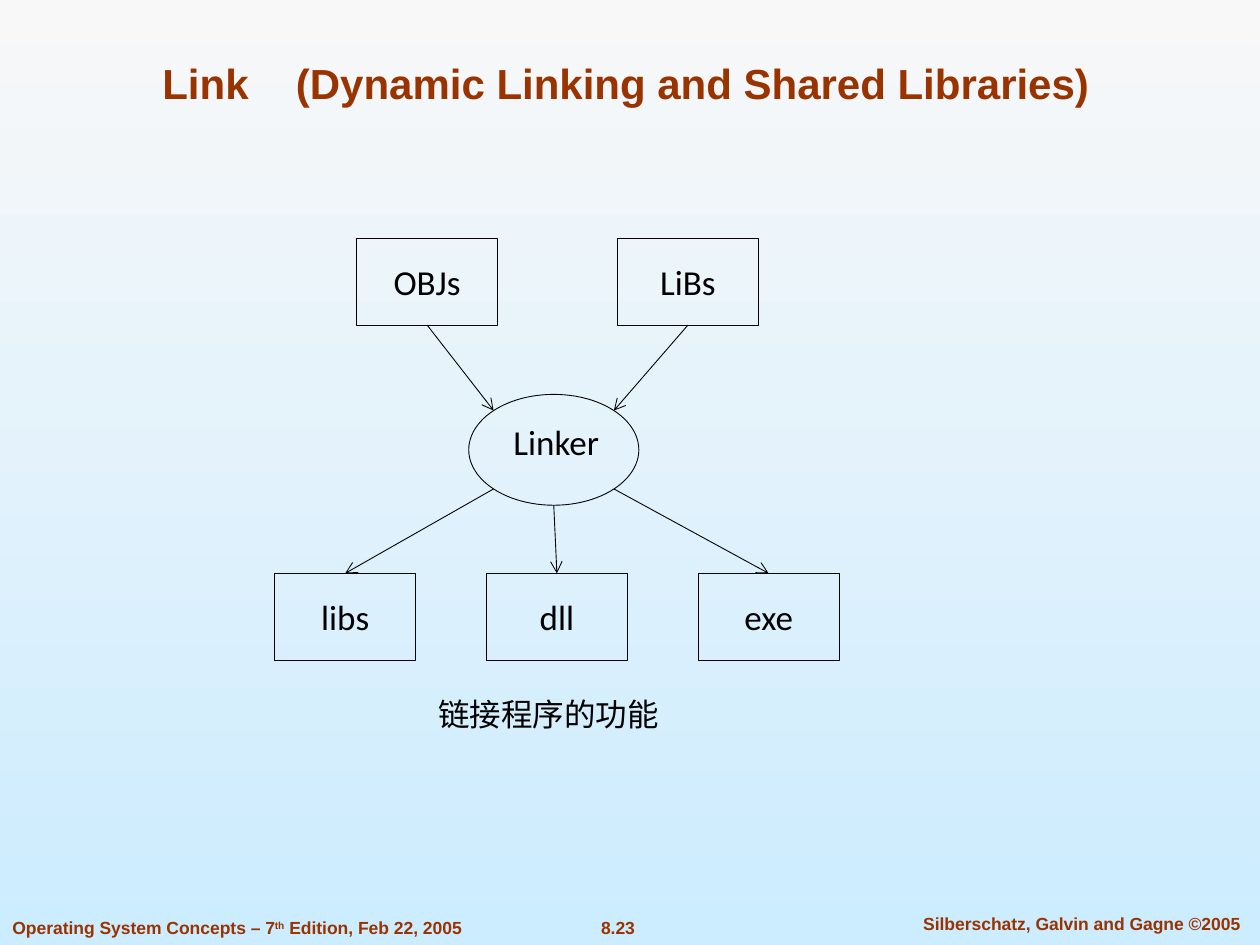
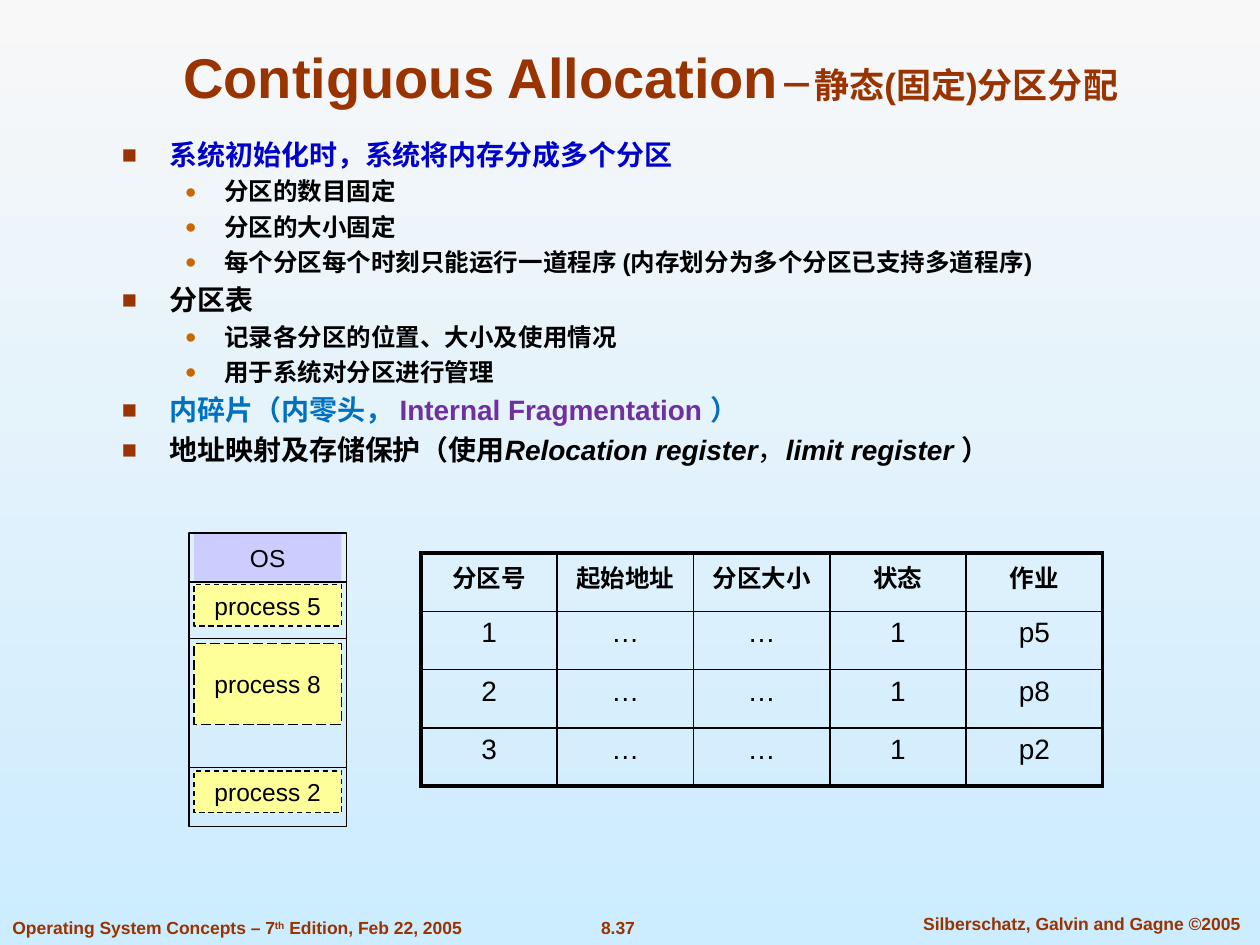
from dataclasses import dataclass
from math import sqrt

from lxml import etree
from pptx import Presentation, util as u
from pptx.dml.color import RGBColor
from pptx.enum import dml, shapes, text
from pptx.oxml import ns

COLORS = {
    "sky_top": "F8F8F8", "sky_bottom": "CCECFF", "rust": "993300",
    "orange": "CC6600", "black": "000000", "blue": "0000CC",
    "azure": "0070C0", "purple": "7030A0", "yellow": "FFFF99",
    "lavender": "CCCCFF",
}
LEFT, CENTER = text.PP_ALIGN.LEFT, text.PP_ALIGN.CENTER
TOP, MIDDLE, BOTTOM = (text.MSO_ANCHOR.TOP, text.MSO_ANCHOR.MIDDLE,
                       text.MSO_ANCHOR.BOTTOM)
RECTANGLE, OVAL = shapes.MSO_SHAPE.RECTANGLE, shapes.MSO_SHAPE.OVAL

# The slide is a grid of 100 columns by 100 rows
WIDTH, HEIGHT = u.Inches(10), u.Inches(7.5)
COLUMN, ROW = WIDTH / 100, HEIGHT / 100


@dataclass
class Box:
    left: float
    top: float
    width: float
    height: float

    def inner(self, left, top, width, height):
        return Box(self.left + left, self.top + top, width, height)

    def point(self, x, y):
        """Grid position at a share of the box's width and height."""
        return self.left + x * self.width, self.top + y * self.height

    def lengths(self):
        return (round(self.left * COLUMN), round(self.top * ROW),
                round(self.width * COLUMN), round(self.height * ROW))


def color(name):
    return RGBColor.from_string(COLORS[name])


def add_xml(parent, tag, **attributes):
    return etree.SubElement(parent, ns.qn(tag), attributes)


# ---- Shared parts ----
def add_run(paragraph, words, size, ink="black", font="Arial", bold=False,
            italic=False, raised=False):
    run = paragraph.add_run()
    run.text = words
    run.font.size, run.font.name = u.Pt(size), font
    run.font.bold, run.font.italic = bold, italic
    run.font.color.rgb = color(ink)
    if raised:
        run.font._element.set("baseline", "30000")


def prepare(frame, anchor, align, side_inset=0.1):
    frame.word_wrap = True
    frame.vertical_anchor = anchor
    frame.margin_left = frame.margin_right = u.Inches(side_inset)
    frame.margin_top = frame.margin_bottom = u.Inches(0.05)
    frame.paragraphs[0].alignment = align
    return frame.paragraphs[0]


def add_text(slide, box, anchor=TOP, align=LEFT, side_inset=0.1):
    shape = slide.shapes.add_textbox(*box.lengths())
    return prepare(shape.text_frame, anchor, align, side_inset)


def add_shape(slide, box, kind=RECTANGLE, fill=None, line=None, dash=None):
    shape = slide.shapes.add_shape(kind, *box.lengths())
    shape.shadow.inherit = False
    if fill:
        shape.fill.solid()
        shape.fill.fore_color.rgb = color(fill)
    else:
        shape.fill.background()
    if line:
        shape.line.color.rgb = color("black")
        shape.line.width = u.Pt(line)
        shape.line.dash_style = dash
    else:
        shape.line.fill.background()
    return shape


def add_line(slide, start, end, width, arrow=False):
    (x1, y1), (x2, y2) = start, end
    line = slide.shapes.add_connector(
        shapes.MSO_CONNECTOR.STRAIGHT, round(x1 * COLUMN), round(y1 * ROW),
        round(x2 * COLUMN), round(y2 * ROW))
    line.line.color.rgb = color("black")
    line.line.width = u.Pt(width)
    if arrow:
        add_xml(line.line._get_or_add_ln(), "a:tailEnd", type="arrow")
    add_xml(line._element.spPr, "a:effectLst")
    return line


def add_footer(slide, box, page):
    style = {"size": 10, "ink": "rust", "bold": True}
    book = add_text(slide, box.inner(0, 0.4, 42.1, 3.6))
    add_run(book, "Operating System Concepts – 7", **style)
    add_run(book, "th", raised=True, **style)
    add_run(book, " Edition, Feb 22, 2005", **style)
    number = add_text(slide, box.inner(46.4, 0.4, 5.3, 3.6), align=CENTER)
    add_run(number, page, **style)
    authors = add_text(slide, box.inner(71, 0, 29.7, 3.6), align=CENTER)
    add_run(authors, "Silberschatz, Galvin and Gagne ©2005", **style)


def add_slide(presentation, page):
    slide = presentation.slides.add_slide(presentation.slide_layouts[6])
    fill = slide.background.fill
    fill.gradient()
    fill.gradient_angle = 270
    for stop, name in zip(fill.gradient_stops, ("sky_top", "sky_bottom")):
        stop.color.rgb = color(name)
    add_footer(slide, Box(0, 96, 100, 4), page)
    return slide


# ---- Linking slide ----
def add_link_title(slide, box):
    paragraph = add_text(slide, box)
    tabs = add_xml(paragraph._p.get_or_add_pPr(), "a:tabLst")
    add_xml(tabs, "a:tab", pos=str(u.Inches(1.06)), algn="l")
    add_run(paragraph, "Link\t(Dynamic Linking and Shared Libraries)", 24,
            "rust", bold=True)


def add_linker_diagram(slide, box):
    def add_file(name, left, top):
        shape = add_shape(slide, box.inner(left, top, 11.2, 9.2), line=0.5)
        paragraph = prepare(shape.text_frame, MIDDLE, CENTER)
        add_run(paragraph, name, 20, font="Calibri")
        return shape

    inputs = [add_file("OBJs", 6.5, 0), add_file("LiBs", 27.2, 0)]
    outputs = [add_file(name, 16.8 * index, 35.47)
               for index, name in enumerate(("libs", "dll", "exe"))]

    # Linker and caption
    linker = box.inner(15.4, 16.53, 13.5, 11.73)
    add_shape(slide, linker, OVAL, line=0.5)
    labels = (("Linker", 20, box.inner(16.1, 16.93, 12.5, 9.2)),
              ("链接程序的功能", 18, box.inner(7.9, 45.73, 27.7, 9.2)))
    for words, size, place in labels:
        paragraph = add_text(slide, place, MIDDLE, CENTER, side_inset=0)
        add_run(paragraph, words, size, font="Calibri")

    # Arrows meet the oval on its diagonals and at its lowest point
    near = (1 - sqrt(0.5)) / 2
    far = 1 - near
    for shape, x in zip(inputs, (near, far)):
        end = linker.point(x, near)
        add_line(slide, end, end, 0.5, arrow=True).begin_connect(shape, 2)
    for shape, (x, y) in zip(outputs, ((near, far), (0.5, 1), (far, far))):
        start = linker.point(x, y)
        add_line(slide, start, start, 0.5, arrow=True).end_connect(shape, 0)


# ---- Allocation slide ----
def add_allocation_title(slide, box):
    paragraph = add_text(slide, box, BOTTOM, CENTER)
    add_run(paragraph, "Contiguous Allocation", 32, "rust", bold=True)
    add_run(paragraph, "－静态(固定)分区分配", 20, "rust", bold=True)


# Level: text size, left margin, hanging indent, bullet, its colour and size
LEVELS = [(16, 0.38, 0.38, "■", "rust", 90), (14, 0.81, 0.31, "●", "orange", 80)]
PARTITION_NOTES = [
    (0, [("系统初始化时，系统将内存分成多个分区", {"ink": "blue"})]),
    (1, [("分区的数目固定", {})]),
    (1, [("分区的大小固定", {})]),
    (1, [("每个分区每个时刻只能运行一道程序 (内存划分为多个分区已支持多道程序)", {})]),
    (0, [("分区表", {})]),
    (1, [("记录各分区的位置、大小及使用情况", {})]),
    (1, [("用于系统对分区进行管理", {})]),
    (0, [("内碎片（内零头， ", {"ink": "azure"}),
         ("Internal Fragmentation ", {"ink": "purple"}),
         ("）", {"ink": "azure"})]),
    (0, [("地址映射及存储保护（使用", {}),
         ("Relocation register", {"italic": True}),
         ("，", {"bold": False}),
         ("limit register ", {"italic": True}),
         ("）", {})]),
]


def add_notes_list(slide, box):
    frame = slide.shapes.add_textbox(*box.lengths()).text_frame
    first = prepare(frame, TOP, LEFT)
    for index, (level, runs) in enumerate(PARTITION_NOTES):
        size, margin, hanging, bullet, ink, percent = LEVELS[level]
        paragraph = frame.add_paragraph() if index else first
        paragraph.level = level
        paragraph.line_spacing = 0.9
        properties = paragraph._p.get_or_add_pPr()
        properties.set("marL", str(u.Inches(margin)))
        properties.set("indent", str(-u.Inches(hanging)))
        if index:
            before = add_xml(properties, "a:spcBef")
            add_xml(before, "a:spcPct", val="35000")
        bullet_color = add_xml(properties, "a:buClr")
        add_xml(bullet_color, "a:srgbClr", val=COLORS[ink])
        add_xml(properties, "a:buSzPct", val=str(percent * 1000))
        add_xml(properties, "a:buFont", typeface="Arial")
        add_xml(properties, "a:buChar", char=bullet)
        for words, style in runs:
            add_run(paragraph, words, size, **{"bold": True, **style})


def add_memory_map(slide, box):
    add_shape(slide, box, line=0.75)
    for row in (5.2, 11.2, 24.8):
        y = box.top + row
        add_line(slide, (box.left, y), (box.left + box.width, y), 0.75)
    dash, long_dash = dml.MSO_LINE.DASH, dml.MSO_LINE.LONG_DASH
    blocks = [("OS", 0.13, 4.93, "lavender", None, None),
              ("process 5", 5.47, 4.4, "yellow", 0.75, dash),
              ("process 8", 11.73, 8.53, "yellow", 0.75, long_dash),
              ("process 2", 25.2, 4.4, "yellow", 0.75, dash)]
    for name, top, height, fill, line, style in blocks:
        place = box.inner(0.4, top, box.width - 0.8, height)
        shape = add_shape(slide, place, fill=fill, line=line, dash=style)
        paragraph = prepare(shape.text_frame, MIDDLE, CENTER)
        add_run(paragraph, name, 14)


def set_borders(cell, **widths):
    properties = cell._tc.get_or_add_tcPr()
    for side in "LRTB":
        border = add_xml(properties, f"a:ln{side}", w=str(u.Pt(widths[side])))
        fill = add_xml(border, "a:solidFill")
        add_xml(fill, "a:srgbClr", val=COLORS["black"])


def add_partition_table(slide, box):
    rows = [("分区号", "起始地址", "分区大小", "状态", "作业")]
    rows += [(str(number), "…", "…", "1", job)
             for number, job in enumerate(("p5", "p8", "p2"), 1)]
    last_row, last_column = len(rows) - 1, len(rows[0]) - 1
    table = slide.shapes.add_table(len(rows), len(rows[0]), *box.lengths()).table
    table.first_row = table.horz_banding = False
    for r, row in enumerate(rows):
        for c, words in enumerate(row):
            cell = table.cell(r, c)
            set_borders(cell, L=1 if c else 2.25, T=1 if r else 2.25,
                        R=2.25 if c == last_column else 1,
                        B=2.25 if r == last_row else 1)
            cell.fill.background()
            paragraph = cell.text_frame.paragraphs[0]
            paragraph.alignment = CENTER
            add_run(paragraph, words, 16 if r else 14, bold=r == 0)


def main():
    presentation = Presentation()
    presentation.slide_width, presentation.slide_height = WIDTH, HEIGHT

    linking = add_slide(presentation, "8.23")
    add_link_title(linking, Box(11.9, 5.47, 79.2, 6.67))
    add_linker_diagram(linking, Box(21.8, 25.2, 44.8, 54.93))

    allocation = add_slide(presentation, "8.37")
    add_allocation_title(allocation, Box(7.5, 3.33, 88.3, 8.93))
    add_notes_list(allocation, Box(8.7, 14.27, 76.3, 37.73))
    add_memory_map(allocation, Box(15, 56.4, 12.5, 31.07))
    add_partition_table(allocation, Box(33.4, 58.53, 54.1, 24.67))

    presentation.save("out.pptx")


if __name__ == "__main__":
    main()
